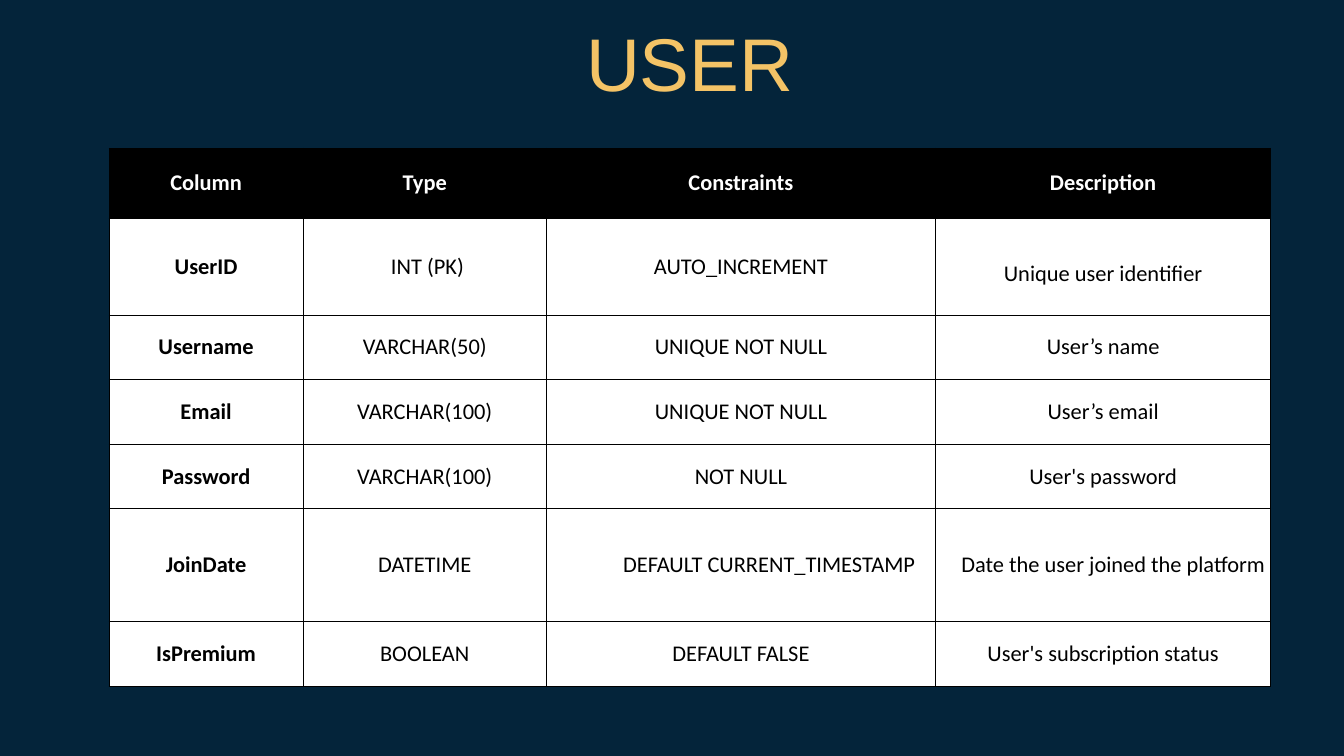
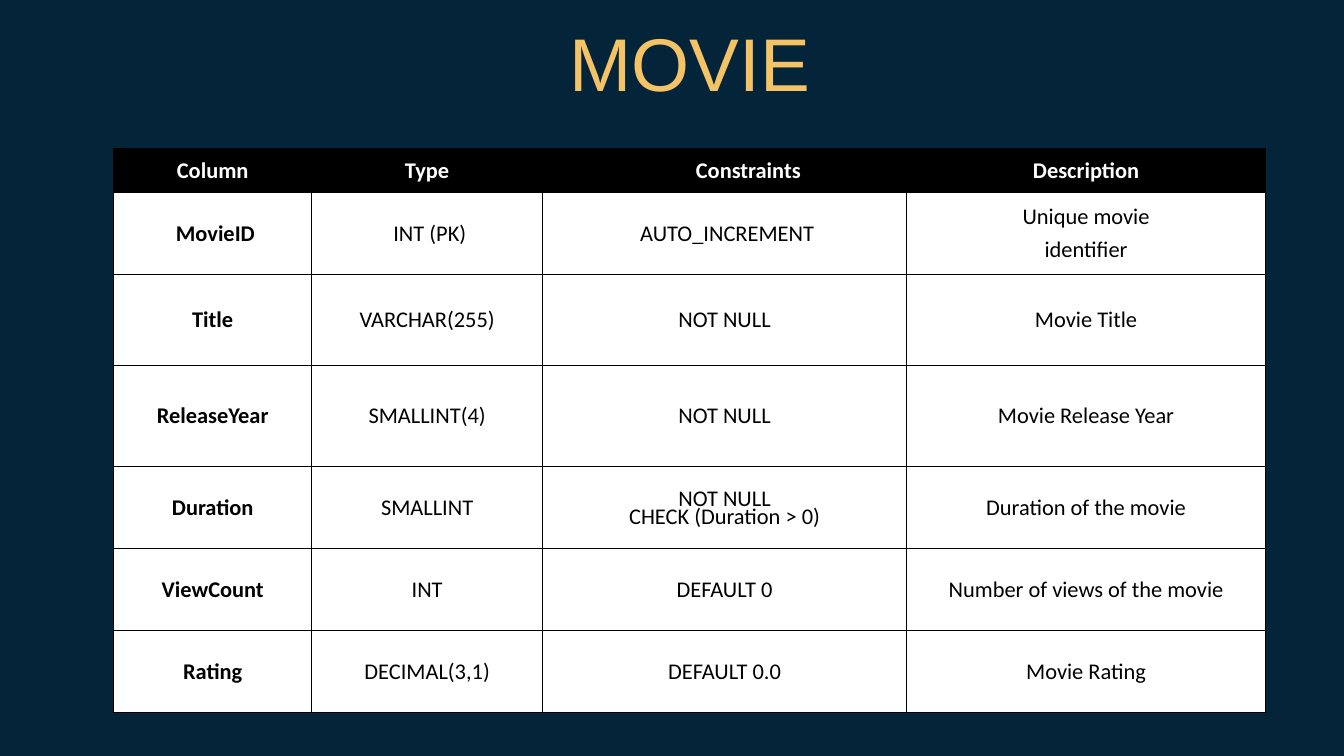
from dataclasses import dataclass

from lxml import etree
from pptx import Presentation
from pptx import util as u
from pptx.dml.color import RGBColor
from pptx.enum import text
from pptx.oxml import ns


@dataclass(frozen=True)
class Theme:
    background: str = "04243A"
    title: str = "F4C366"
    dark: str = "000000"
    light: str = "FFFFFF"
    title_font: str = "Arial"
    table_font: str = "Calibri"
    title_size: float = 80
    title_line: float = 85.6
    table_size: float = 24
    border: float = 1


THEME = Theme()

# Shared layout, in centimetres
SLIDE_W, SLIDE_H = 50.8, 28.58
TITLE_LEFT, TITLE_TOP, TITLE_W, TITLE_H = 3.53, 0.99, 45.09, 3.12
TABLE_TOP = 5.61
CENTRE = TITLE_LEFT + TITLE_W / 2
HEADINGS = ("Column", "Type", "Constraints", "Description")
NUDGE = {"left": 0.2}

# Special paragraph formats are keyed by (row, column)
USER = {
    "title": "USER",
    "cols": (7.34, 9.19, 14.71, 12.67),
    "rows": (2.64, 3.66, 2.44, 2.44, 2.44, 4.27, 2.44),
    "cells": (
        HEADINGS,
        ("UserID", "INT (PK)", "AUTO_INCREMENT", "Unique user identifier"),
        ("Username", "VARCHAR(50)", "UNIQUE NOT NULL", "User’s name"),
        ("Email", "VARCHAR(100)", "UNIQUE NOT NULL", "User’s email"),
        ("Password", "VARCHAR(100)", "NOT NULL", "User's password"),
        ("JoinDate", "DATETIME", "DEFAULT CURRENT_TIMESTAMP",
         "Date the user joined the platform"),
        ("IsPremium", "BOOLEAN", "DEFAULT FALSE", "User's subscription status"),
    ),
    "formats": {
        (1, 1): NUDGE,
        (1, 3): {"line": 1.5},
        (5, 2): {"left": 0.89, "first": 1.24},
        (5, 3): {"left": 1.93, "first": -1.17},
    },
}

MOVIE = {
    "title": "MOVIE",
    "cols": (7.47, 8.74, 13.74, 13.59),
    "rows": (1.68, 3.07, 3.45, 3.84, 3.1, 3.1, 3.1),
    "cells": (
        HEADINGS,
        ("MovieID", "INT (PK)", "AUTO_INCREMENT", "Unique movie\nidentifier"),
        ("Title", "VARCHAR(255)", "NOT NULL", "Movie Title"),
        ("ReleaseYear", "SMALLINT(4)", "NOT NULL", "Movie Release Year"),
        ("Duration", "SMALLINT", "NOT NULL\nCHECK (Duration > 0)",
         "Duration of the movie"),
        ("ViewCount", "INT", "DEFAULT 0", "Number of views of the movie"),
        ("Rating", "DECIMAL(3,1)", "DEFAULT 0.0", "Movie Rating"),
    ),
    "formats": {
        (0, 2): {"left": 1.8},
        (1, 0): NUDGE,
        (1, 1): NUDGE,
        (1, 2): NUDGE,
        (1, 3): {"next_before": 6.3},
        (4, 2): {"next_before": 6.3, "next_line": u.Pt(12.6)},
    },
}


def set_attrs(obj, **values):
    for name, value in values.items():
        setattr(obj, name, value)


def set_font(font, name, size, color, bold=False):
    set_attrs(font, name=name, size=u.Pt(size), bold=bold)
    font.color.rgb = RGBColor.from_string(color)


def add_title(s, words):
    sp = s.shapes.title
    set_attrs(sp, left=u.Cm(TITLE_LEFT), top=u.Cm(TITLE_TOP),
              width=u.Cm(TITLE_W), height=u.Cm(TITLE_H))
    tf = sp.text_frame
    set_attrs(tf, text=words, word_wrap=True,
              vertical_anchor=text.MSO_ANCHOR.TOP,
              auto_size=text.MSO_AUTO_SIZE.SHAPE_TO_FIT_TEXT,
              margin_left=0, margin_right=0, margin_top=0, margin_bottom=0)
    p = tf.paragraphs[0]
    set_attrs(p, alignment=text.PP_ALIGN.CENTER,
              line_spacing=u.Pt(THEME.title_line))
    set_font(p.runs[0].font, THEME.title_font, THEME.title_size, THEME.title)


def add_borders(cell):
    tc_pr = cell._tc.get_or_add_tcPr()
    for side in ("lnL", "lnR", "lnT", "lnB"):
        ln = etree.SubElement(tc_pr, ns.qn(f"a:{side}"),
                              w=str(u.Pt(THEME.border)))
        fill = etree.SubElement(ln, ns.qn("a:solidFill"))
        etree.SubElement(fill, ns.qn("a:srgbClr"), val=THEME.dark)


def format_paragraph(p, fmt, is_first):
    p.alignment = text.PP_ALIGN.CENTER
    p_pr = p._p.get_or_add_pPr()
    for key, name in (("left", "marL"), ("first", "indent")):
        p_pr.set(name, str(u.Cm(fmt.get(key, 0))))
    if is_first:
        p.line_spacing = fmt.get("line")
    else:
        set_attrs(p, space_before=u.Pt(fmt["next_before"]),
                  line_spacing=fmt.get("next_line"))


def fill_cell(cell, words, fmt, is_header, bold):
    add_borders(cell)
    cell.fill.solid()
    cell.fill.fore_color.rgb = RGBColor.from_string(
        THEME.dark if is_header else THEME.light)
    set_attrs(cell, text=words, vertical_anchor=text.MSO_ANCHOR.MIDDLE,
              margin_left=0, margin_right=0, margin_top=0, margin_bottom=0)
    color = THEME.light if is_header else THEME.dark
    for i, p in enumerate(cell.text_frame.paragraphs):
        format_paragraph(p, fmt, i == 0)
        for r in p.runs:
            set_font(r.font, THEME.table_font, THEME.table_size, color, bold)


def add_schema_table(s, entity):
    cols, rows = entity["cols"], entity["rows"]
    width = sum(cols)
    table = s.shapes.add_table(
        len(rows), len(cols), u.Cm(CENTRE - width / 2), u.Cm(TABLE_TOP),
        u.Cm(width), u.Cm(sum(rows))).table
    table.horz_banding = False
    for column, size in zip(table.columns, cols):
        column.width = u.Cm(size)
    for row, size in zip(table.rows, rows):
        row.height = u.Cm(size)
    for i, line in enumerate(entity["cells"]):
        for j, words in enumerate(line):
            fill_cell(table.cell(i, j), words, entity["formats"].get((i, j), {}),
                      is_header=i == 0, bold=i == 0 or j == 0)


def main():
    prs = Presentation()
    set_attrs(prs, slide_width=u.Cm(SLIDE_W), slide_height=u.Cm(SLIDE_H))

    # Background shared through the master
    fill = prs.slide_master.background.fill
    fill.solid()
    fill.fore_color.rgb = RGBColor.from_string(THEME.background)

    # One slide for each database entity
    for entity in (USER, MOVIE):
        s = prs.slides.add_slide(prs.slide_layouts.get_by_name("Title Only"))
        add_title(s, entity["title"])
        add_schema_table(s, entity)

    prs.save("out.pptx")


if __name__ == "__main__":
    main()
